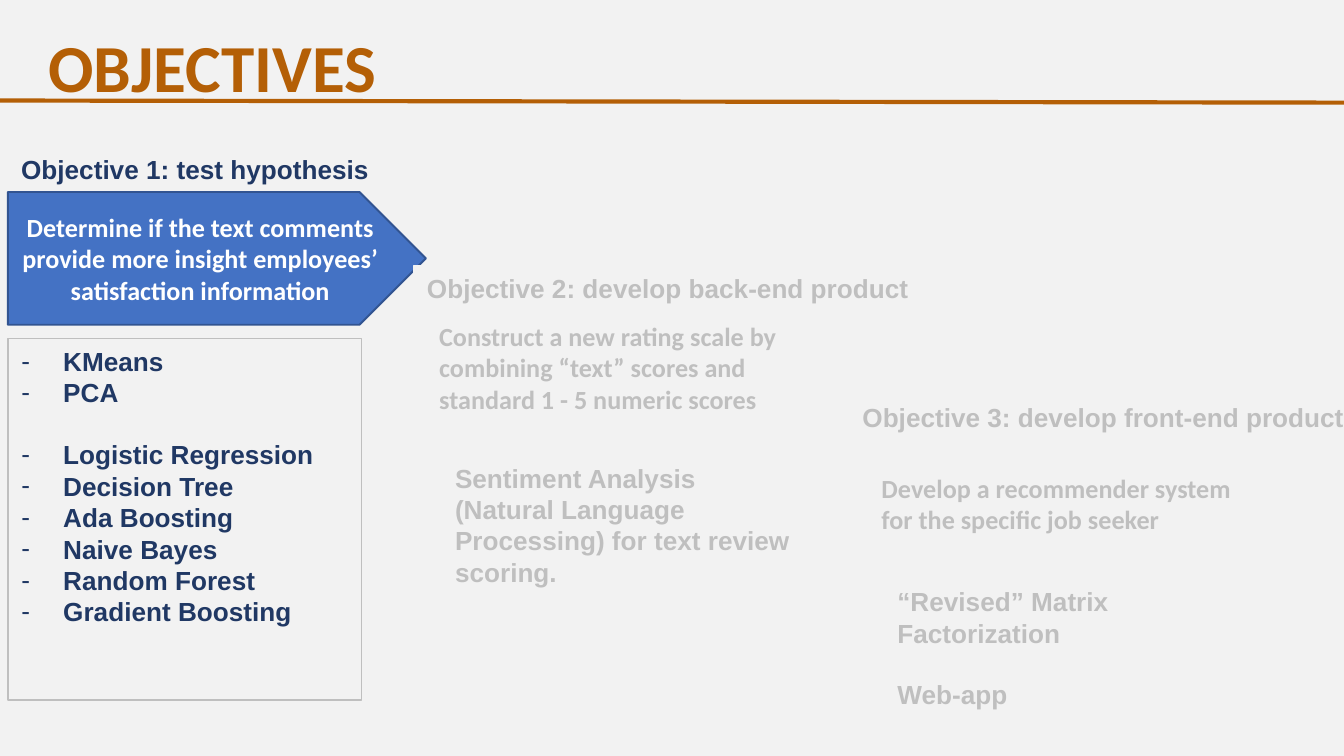
from lxml.etree import SubElement
from pptx import Presentation
from pptx.dml.color import RGBColor
from pptx.enum.shapes import MSO_CONNECTOR, MSO_SHAPE
from pptx.enum.text import MSO_ANCHOR, MSO_AUTO_SIZE, PP_ALIGN
from pptx.oxml.ns import qn
from pptx.util import Cm, Pt

ORANGE = RGBColor(0xB4, 0x5F, 0x06)
NAVY = RGBColor(0x20, 0x38, 0x64)
BLUE = RGBColor(0x44, 0x72, 0xC4)
EDGE = RGBColor(0x32, 0x54, 0x91)
GRAY = RGBColor(0xBF, 0xBF, 0xBF)
PALE = RGBColor(0xF2, 0xF2, 0xF2)
WHITE = RGBColor(0xFF, 0xFF, 0xFF)


class Board:
    base = {"size": Pt(14), "name": "Arial", "bold": True}
    deep = Cm(2.51)
    row = Cm(0.86)

    def __init__(self, deck):
        self.slide = deck.slides.add_slide(deck.slide_layouts[1])
        fill = self.slide.background.fill
        fill.solid()
        fill.fore_color.rgb = PALE

    def place(self, shape, left, top, wide, high):
        spots = {"left": left, "top": top, "width": wide, "height": high}
        for key, value in spots.items():
            setattr(shape, key, value)

    def style(self, para, color, **extra):
        for key, value in {**self.base, **extra}.items():
            setattr(para.font, key, value)
        para.font.color.rgb = color

    def letter(self, shape, lines, color, anchor=MSO_ANCHOR.TOP,
               align=PP_ALIGN.LEFT, gaps=None, mark=None, indent=0, **extra):
        frame = shape.text_frame
        form = {"word_wrap": True, "auto_size": MSO_AUTO_SIZE.NONE,
                "vertical_anchor": anchor}
        for key, value in form.items():
            setattr(frame, key, value)
        frame.text = "\n".join(lines)
        for line, para in zip(lines, frame.paragraphs):
            para.alignment = align
            para.space_before = Pt((gaps or {}).get(line, 0))
            props = para._p.get_or_add_pPr()
            props.set("marL", str(Cm(indent)))
            props.set("indent", str(-Cm(indent) if mark else 0))
            if mark:
                SubElement(props, qn("a:buChar")).set("char", mark)
            self.style(para, color, **extra)

    def title(self, text):
        shape = self.slide.shapes.title
        self.place(shape, Cm(0.66), Cm(0.38), Cm(24.33), Cm(1.9))
        self.letter(shape, [text], ORANGE, MSO_ANCHOR.BOTTOM,
                    size=Pt(36), name="Calibri")
        frame = shape.text_frame
        frame.margin_top = frame.margin_bottom = Cm(0.25)
        frame.paragraphs[0].line_spacing = 0.9

    def rule(self, left, top, right, low):
        line = self.slide.shapes.add_connector(
            MSO_CONNECTOR.STRAIGHT, Cm(left), Cm(top), Cm(right), Cm(low))
        line.line.color.rgb = ORANGE
        line.line.width = Pt(2.25)
        SubElement(line._element.spPr, qn("a:effectLst"))

    def shape(self, kind, left, top, wide, high, fill, edge, width):
        shape = self.slide.shapes.add_shape(
            kind, Cm(left), Cm(top), Cm(wide), high)
        shape.shadow.inherit = False
        shape.fill.solid()
        shape.fill.fore_color.rgb = fill
        shape.line.color.rgb = edge
        shape.line.width = Pt(width)
        return shape

    def arrow(self, left, top, wide, text, color=GRAY, fill=PALE, edge=PALE,
              align=PP_ALIGN.LEFT):
        shape = self.shape(MSO_SHAPE.PENTAGON, left, top, wide, self.deep,
                           fill, edge, 1)
        self.letter(shape, [text], color, MSO_ANCHOR.MIDDLE, align,
                    name="Calibri")

    def label(self, left, top, wide, text, color=GRAY):
        self.panel(left, top, wide, self.row, [text], color)

    def panel(self, left, top, wide, high, lines, color=GRAY, **form):
        shape = self.shape(MSO_SHAPE.RECTANGLE, left, top, wide, high,
                           PALE, PALE, 0.75)
        self.letter(shape, lines, color, **form)

    def items(self, left, top, wide, high, lines, gaps):
        shape = self.slide.placeholders[1]
        self.place(shape, Cm(left), Cm(top), Cm(wide), Cm(high))
        shape.line.color.rgb = GRAY
        shape.line.width = Pt(0.75)
        self.letter(shape, lines, NAVY, gaps=gaps, mark="-", indent=0.79)


def main():
    deck = Presentation()
    deck.slide_width, deck.slide_height = Cm(25.4), Cm(14.29)
    board = Board(deck)
    board.title("OBJECTIVES")
    board.rule(0, 1.9, 25.42, 1.94)

    one, two, three = 0.15, 8.05, 16.41
    board.label(one, 2.77, 7.67, "Objective 1: test hypothesis", NAVY)
    board.arrow(one, 3.63, 7.9, "Determine if the text comments provide more "
                "insight employees’ satisfaction information",
                WHITE, BLUE, EDGE, PP_ALIGN.CENTER)
    board.items(one, 6.4, 6.68, 6.83, [
        "KMeans", "PCA", "Logistic Regression", "Decision Tree",
        "Ada Boosting", "Naive Bayes", "Random Forest", "Gradient Boosting",
    ], {"Logistic Regression": 16.5})

    board.arrow(two, 5.69, 8.41, "Construct a new rating scale by combining "
                "“text” scores and standard 1 - 5 numeric scores")
    board.label(7.82, 5.03, 9.73, "Objective 2: develop back-end product")
    board.panel(two, 8.61, 7.16, Cm(3.84), [
        "Sentiment Analysis (Natural Language Processing) "
        "for text review scoring."], indent=0.3)

    board.arrow(three, 8.26, 8.43, "Develop a recommender system "
                "for the specific job seeker")
    board.label(16.05, 7.47, 9.98, "Objective 3: develop front-end product")
    board.panel(three, 10.95, 7.14, Cm(3.23), [
        "“Revised” Matrix Factorization", "Web-app",
    ], gaps={"Web-app": 16}, indent=0.3)
    deck.save("out.pptx")


if __name__ == "__main__":
    main()
